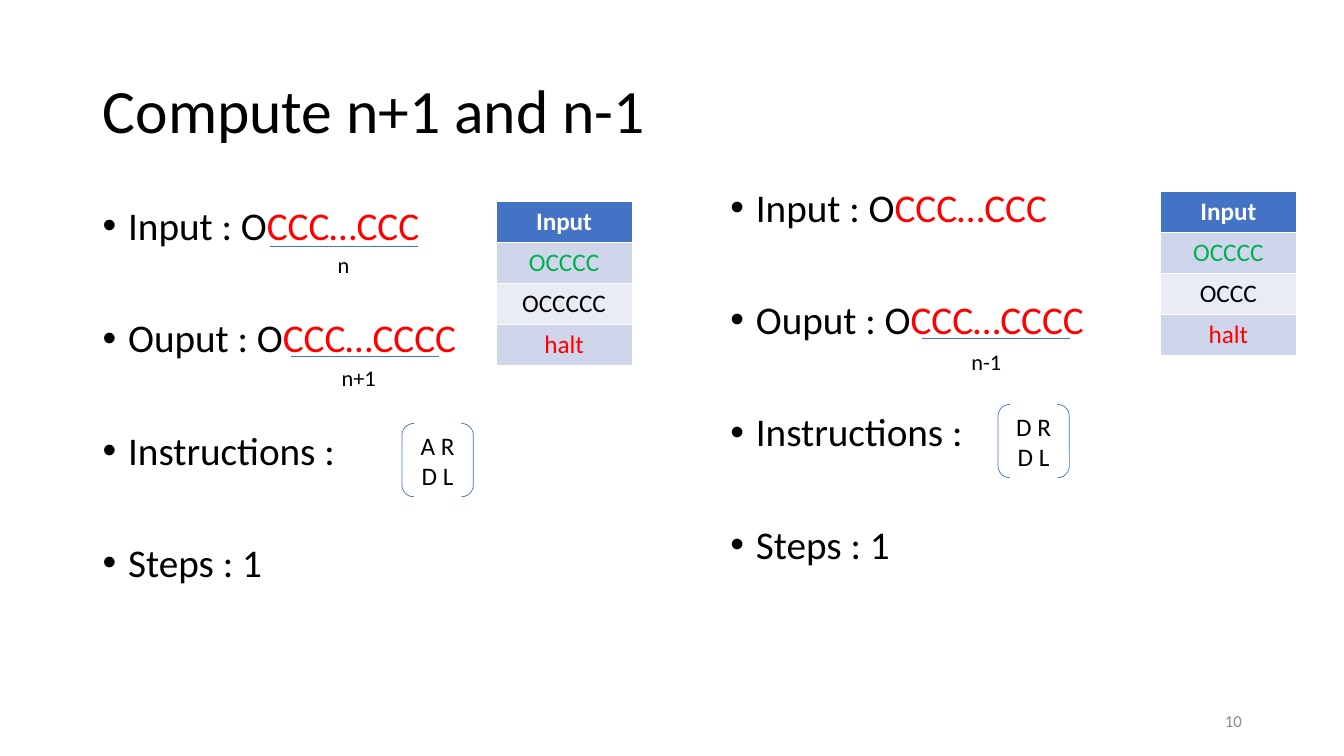
"""Build the slide on computing n+1 and n-1."""
from lxml import etree
from pptx import Presentation
from pptx import util as u
from pptx.dml.color import RGBColor
from pptx.enum import shapes, text
from pptx.oxml import ns

FONT = "Calibri"
COLORS = {
    "black": "000000", "white": "FFFFFF", "red": "FF0000", "green": "00B050",
    "blue": "4472C4", "gray": "8C8C8C", "band": "CFD5EA", "pale": "E9EBF5",
}
TITLE = "Compute n+1 and n-1"
PAGE = "10"
BULLETS = [
    [("Input : O", "black"), ("CCC…CCC", "red")],
    [("Ouput : O", "black"), ("CCC…CCCC", "red")],
    [("Instructions : ", "black")],
    [("Steps : 1", "black")],
]
PANELS = [
    {
        "body": (2.34, 5.08),
        "underlines": [(6.81, 6.2), (7.34, 8.97)],
        "labels": [("n", 8.26, 6.2, 0.85), ("n+1", 8.36, 9.04, 1.45)],
        "instructions": (["A R", "D L"], 10.13, 10.67),
        "table": ("OCCCCC", 12.5, 5.08),
    },
    {
        "body": (18.16, 4.62),
        "underlines": [(23.24, 8.53)],
        "labels": [("n-1", 24.23, 8.64, 1.45)],
        "instructions": (["D R", "D L"], 25.15, 10.19),
        "table": ("OCCC", 29.24, 4.83),
    },
]
UNDERLINE_WIDTH = 3.73
TABLE_WIDTH, ROW_HEIGHT = 3.43, 1.03
LEFT, CENTER, RIGHT = text.PP_ALIGN.LEFT, text.PP_ALIGN.CENTER, text.PP_ALIGN.RIGHT
MIDDLE, TOP = text.MSO_ANCHOR.MIDDLE, text.MSO_ANCHOR.TOP


def rgb(name):
    return RGBColor.from_string(COLORS[name])


def write(paragraph, pieces, size, align=LEFT, bold=False):
    paragraph.alignment = align
    for words, color in pieces:
        run = paragraph.add_run()
        run.text = words
        run.font.name = FONT
        run.font.size = u.Pt(size)
        run.font.bold = bold
        run.font.color.rgb = rgb(color)


def add_text(slide, box, pieces=(), size=16, align=LEFT, anchor=TOP):
    frame = slide.shapes.add_textbox(*map(u.Cm, box)).text_frame
    frame.word_wrap = True
    frame.vertical_anchor = anchor
    write(frame.paragraphs[0], pieces, size, align)
    return frame


def add_bullets(slide, left, top):
    frame = add_text(slide, (left, top, 14, 12.09))
    for index, pieces in enumerate(BULLETS):
        paragraph = frame.add_paragraph() if index else frame.paragraphs[0]
        paragraph.line_spacing = 0.9
        paragraph.space_before = u.Pt(50 if index else 10)
        write(paragraph, pieces, 28)
        properties = paragraph._p.get_or_add_pPr()
        indent = u.Cm(0.64)
        properties.set("marL", str(indent))
        properties.set("indent", str(-indent))
        etree.SubElement(properties, ns.qn("a:buFont")).set("typeface", "Arial")
        etree.SubElement(properties, ns.qn("a:buChar")).set("char", "•")


def add_underline(slide, left, top):
    line = slide.shapes.add_connector(
        shapes.MSO_CONNECTOR.STRAIGHT,
        u.Cm(left), u.Cm(top), u.Cm(left + UNDERLINE_WIDTH), u.Cm(top))
    line.line.color.rgb = rgb("blue")
    line.line.width = u.Pt(0.5)
    etree.SubElement(line._element.spPr, ns.qn("a:effectLst"))


def add_instructions(slide, rows, left, top):
    bracket = slide.shapes.add_shape(
        shapes.MSO_SHAPE.DOUBLE_BRACKET, *map(u.Cm, (left, top, 1.8, 1.85)))
    bracket.shadow.inherit = False
    bracket.fill.background()
    bracket.line.color.rgb = rgb("blue")
    bracket.line.width = u.Pt(0.5)
    frame = bracket.text_frame
    frame.vertical_anchor = MIDDLE
    frame.word_wrap = False
    frame.text = "\n".join(rows)
    for paragraph, row in zip(frame.paragraphs, rows):
        paragraph.clear()
        write(paragraph, [(row, "black")], 18, CENTER)


def add_tape_table(slide, output, left, top):
    rows = [
        ("Input", "white", "blue"), ("OCCCC", "green", "band"),
        (output, "black", "pale"), ("halt", "red", "band"),
    ]
    size = (TABLE_WIDTH, ROW_HEIGHT * len(rows))
    table = slide.shapes.add_table(
        len(rows), 1, *map(u.Cm, (left, top, *size))).table
    for index, (words, color, fill) in enumerate(rows):
        cell = table.cell(index, 0)
        cell.fill.solid()
        cell.fill.fore_color.rgb = rgb(fill)
        cell.vertical_anchor = MIDDLE
        write(cell.text_frame.paragraphs[0], [(words, color)], 18, CENTER, index == 0)


presentation = Presentation()
presentation.slide_width, presentation.slide_height = u.Cm(33.87), u.Cm(19.05)
slide = presentation.slides.add_slide(presentation.slide_layouts[6])

title = add_text(slide, (2.34, 1.02, 29.21, 3.68), [(TITLE, "black")], 44, anchor=MIDDLE)
title.paragraphs[0].line_spacing = 0.9
add_text(slide, (23.93, 17.65, 7.62, 1.02), [(PAGE, "gray")], 12, RIGHT, MIDDLE)

for panel in PANELS:
    add_bullets(slide, *panel["body"])
    for underline in panel["underlines"]:
        add_underline(slide, *underline)
    for words, left, top, width in panel["labels"]:
        add_text(slide, (left, top, width, 0.94), [(words, "black")])
    add_instructions(slide, *panel["instructions"])
    add_tape_table(slide, *panel["table"])

presentation.save("out.pptx")
